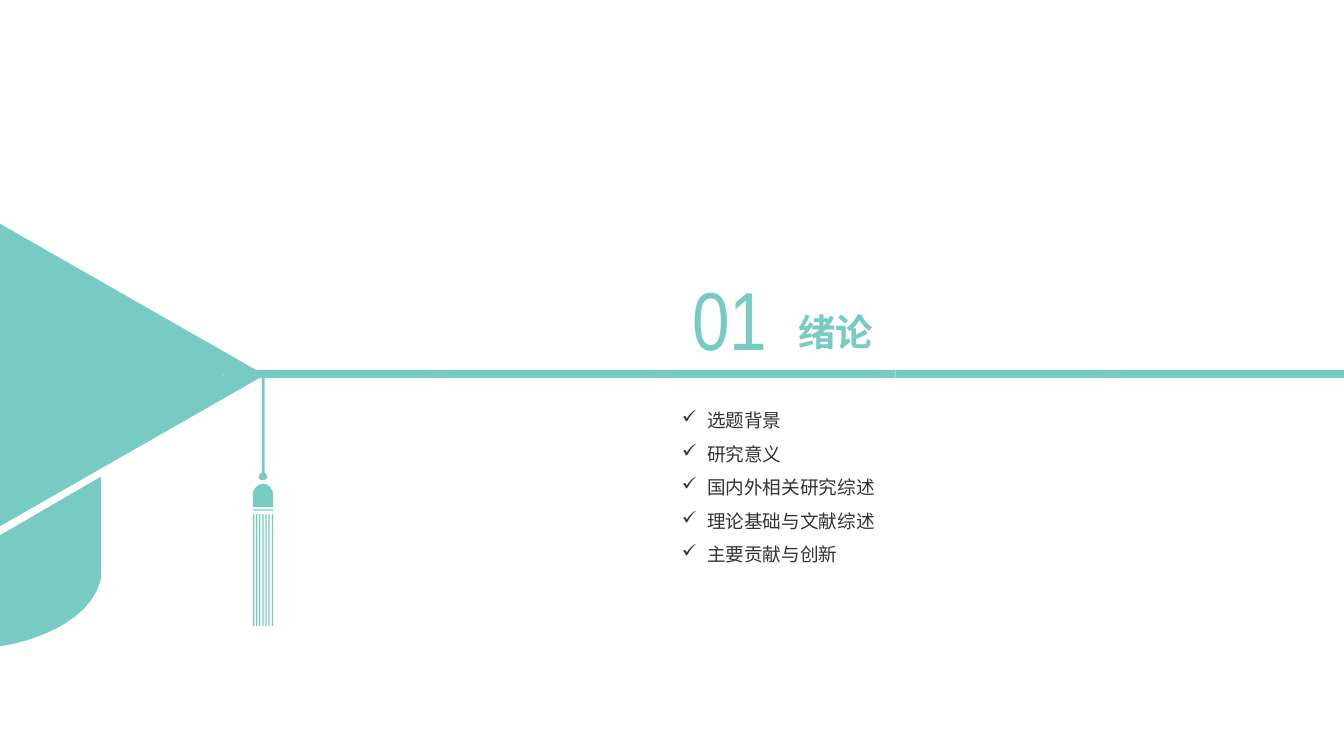
from dataclasses import dataclass

from lxml import etree
from pptx import Presentation
from pptx.dml.color import RGBColor
from pptx.enum.shapes import MSO_SHAPE
from pptx.enum.text import MSO_AUTO_SIZE, PP_ALIGN
from pptx.oxml.ns import qn
from pptx.util import Pt

RECTANGLE = MSO_SHAPE.RECTANGLE
GROW = MSO_AUTO_SIZE.SHAPE_TO_FIT_TEXT
LEFT, CENTER = PP_ALIGN.LEFT, PP_ALIGN.CENTER

EMU_PER_PX = 3048  # 300 px to the inch
SLIDE_W, SLIDE_H = 4000, 2250


@dataclass(frozen=True)
class Theme:
    teal: RGBColor = RGBColor(0x77, 0xCB, 0xC3)
    ink: RGBColor = RGBColor(0x33, 0x33, 0x33)
    font: str = "Arial Narrow"
    number_size: float = 58.7
    title_size: float = 26.7
    topic_size: float = 13.3


THEME = Theme()
TOPICS = ["选题背景", "研究意义", "国内外相关研究综述", "理论基础与文献综述", "主要贡献与创新"]


def px(length):
    return round(length * EMU_PER_PX)


def paint(shape):
    shape.shadow.inherit = False
    shape.fill.solid()
    shape.fill.fore_color.rgb = THEME.teal
    shape.line.fill.background()


def add_bullet(paragraph, mark, indent):
    properties = paragraph._p.get_or_add_pPr()
    properties.set("marL", str(px(indent)))
    properties.set("indent", str(-px(indent)))
    etree.SubElement(properties, qn("a:buChar")).set("char", mark)


def add_text(slide, box, lines, *, size, color, bold=False, align=LEFT,
             wrap=True, spacing=None, bullet=None, indent=0):
    frame = slide.shapes.add_textbox(*map(px, box)).text_frame
    frame.word_wrap = wrap
    frame.auto_size = GROW
    for index, line in enumerate(lines):
        paragraph = frame.add_paragraph() if index else frame.paragraphs[0]
        paragraph.alignment = align
        if spacing:
            paragraph.line_spacing = spacing
        if bullet:
            add_bullet(paragraph, bullet, indent)
        run = paragraph.add_run()
        run.text = line
        run.font.name = THEME.font
        run.font.size = Pt(size)
        run.font.bold = bold
        run.font.color.rgb = color


def curve(start, pull_a, pull_b, end, steps=12):
    """Points along a cubic Bezier curve, both ends included."""
    points = []
    for step in range(steps + 1):
        t = step / steps
        weights = ((1 - t) ** 3, 3 * t * (1 - t) ** 2, 3 * t * t * (1 - t), t ** 3)
        points.append(tuple(
            sum(w * p for w, p in zip(weights, axis))
            for axis in zip(start, pull_a, pull_b, end)))
    return points


def block(left, top, right, bottom):
    return [(left, top), (right, top), (right, bottom), (left, bottom)]


def add_outline(slide, contours):
    scaled = [[(px(x), px(y)) for x, y in contour] for contour in contours]
    builder = slide.shapes.build_freeform(*scaled[0][0], scale=1.0)
    for index, contour in enumerate(scaled):
        if index:
            builder.move_to(*contour[0])
        builder.add_line_segments(contour[1:], close=True)
    paint(builder.convert_to_shape())


def add_divider(slide, top, height, count):
    divider = slide.shapes.add_group_shape()
    edges = [SLIDE_W * i // count for i in range(count + 1)]
    for left, right in zip(edges, edges[1:]):
        paint(divider.shapes.add_shape(
            RECTANGLE, px(left), px(top), px(right - left), px(height)))


def add_cap(slide):
    board_top = [(0, 666), (783, 1113), (0, 1113)]
    board_bottom = [(783, 1119), (0, 1566), (0, 1119)]
    skirt = [(300, 1419), *curve((300, 1725), (267, 1860), (75, 1914), (0, 1923)),
             (0, 1593)]
    add_outline(slide, [board_top, board_bottom, skirt])


def add_tassel(slide):
    left, right = 753, 813
    cord_and_bead = [
        (780, 1122),
        *curve((780, 1407), (774, 1410), (771, 1413), (771, 1419)),
        *curve((771, 1425), (774, 1428), (780, 1429), (783, 1429)),
        *curve((783, 1429), (789, 1429), (795, 1425), (795, 1419)),
        *curve((795, 1419), (795, 1413), (792, 1410), (788, 1407)),
        (788, 1122)]
    knot = [
        *curve((left, 1473), (left, 1455), (768, 1440), (783, 1440)),
        *curve((783, 1440), (798, 1440), (right, 1455), (right, 1473)),
        (right, 1509), (left, 1509)]
    band = block(left, 1516, right, 1520)

    # Seven strands spread evenly under the band
    count, width = 7, 4
    starts = [left + (right - left - width) * i // (count - 1) for i in range(count)]
    strands = [block(x, 1530, x + width, 1863) for x in starts]
    add_outline(slide, [cord_and_bead, knot, band, *strands])


def main():
    deck = Presentation()
    deck.slide_width, deck.slide_height = px(SLIDE_W), px(SLIDE_H)
    slide = deck.slides.add_slide(deck.slide_layouts[6])

    # Section topics and heading
    add_text(slide, (2000, 1170, 642, 534), TOPICS, size=THEME.topic_size,
             color=THEME.ink, wrap=False, spacing=1.5, bullet="✓", indent=75)
    add_text(slide, (2346, 906, 498, 165), ["绪论"], size=THEME.title_size,
             color=THEME.teal, bold=True)
    add_text(slide, (2000, 783, 345, 327), ["01"], size=THEME.number_size,
             color=THEME.teal, align=CENTER)

    # Divider and graduation cap
    add_divider(slide, top=1101, height=24, count=6)
    add_cap(slide)
    add_tassel(slide)

    deck.save("out.pptx")


if __name__ == "__main__":
    main()
